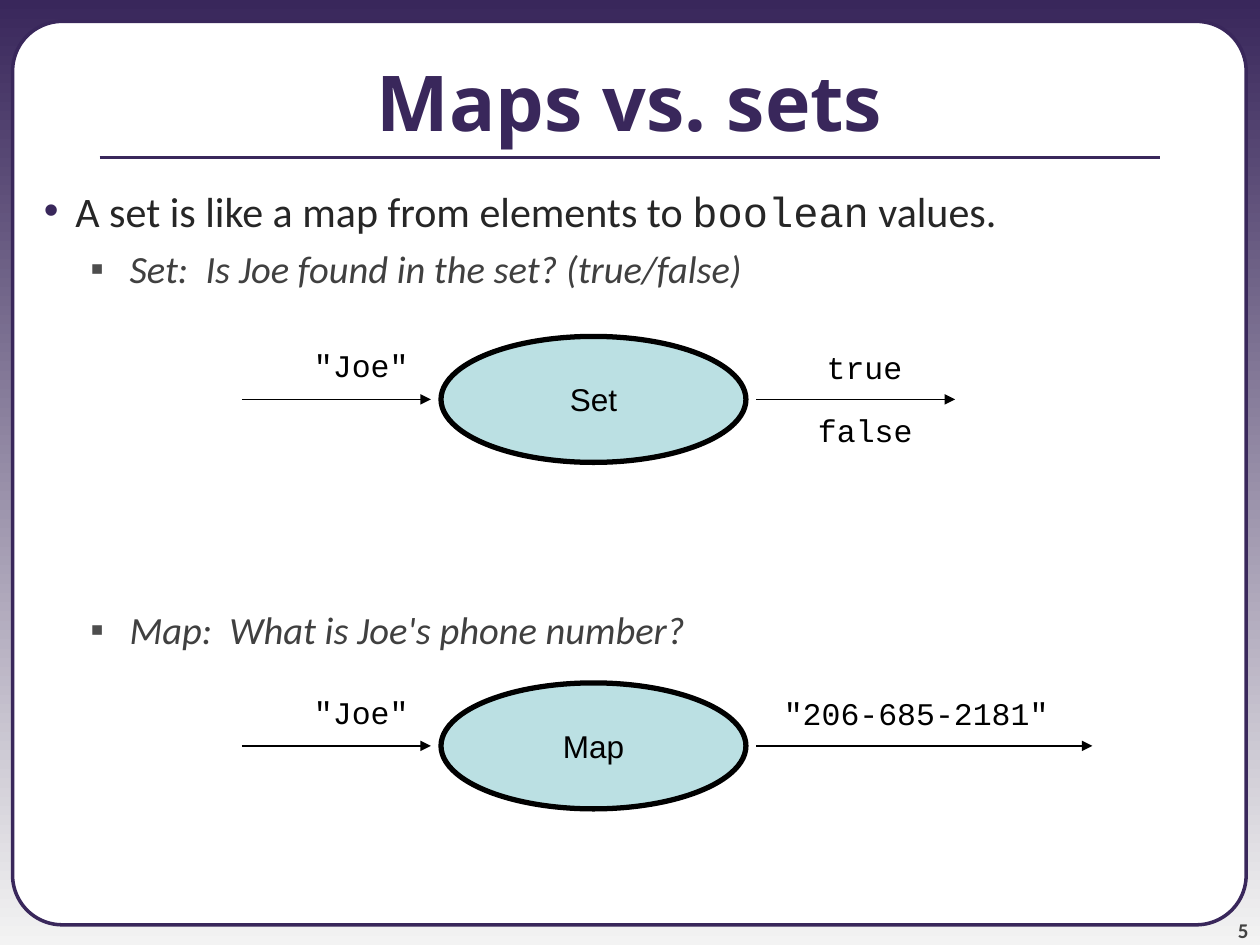
from lxml.etree import SubElement as Sub
from pptx import Presentation
from pptx.dml.color import RGBColor as Rgb
from pptx.enum.shapes import MSO_CONNECTOR as Conn, MSO_SHAPE as Kind
from pptx.enum.text import MSO_ANCHOR as Anchor, MSO_AUTO_SIZE as Auto, PP_ALIGN as Align
from pptx.oxml.ns import qn
from pptx.util import Inches, Pt

PURPLE, BLACK = "39275B", "000000"
HEAD = dict(name="Open Sans", size=Pt(44), bold=True)
PAGE = dict(name="Calibri", size=Pt(12), bold=True)
BODY = dict(name="Calibri", size=Pt(24))
CODE = dict(name="Courier New", size=Pt(24))
SUB = dict(name="Calibri", size=Pt(22), italic=True)
LABEL = dict(name="Courier New", size=Pt(18))
NODE = dict(name="Arial", size=Pt(18))


def paint(color, value):
    color.rgb = Rgb.from_string(value)


def assign(item, values):
    for key, value in values.items():
        setattr(item, key, value)


def write(para, text, font, color):
    run = para.add_run()
    run.text = text
    assign(run.font, font)
    paint(run.font.color, color)


def add_text(slide, box, text, font, color, align, **frame):
    area = slide.shapes.add_textbox(*map(Inches, box)).text_frame
    assign(area, dict(word_wrap=True) | frame)
    para = area.paragraphs[0]
    para.alignment = align
    write(para, text, font, color)


def add_shape(slide, kind, box, fill, line, width):
    shape = slide.shapes.add_shape(kind, *map(Inches, box))
    shape.shadow.inherit = False
    shape.fill.solid()
    paint(shape.fill.fore_color, fill)
    paint(shape.line.color, line)
    shape.line.width = Pt(width)
    return shape


def add_line(slide, left, right, y, color, width, arrow=False):
    ends = map(Inches, (left, y, right, y))
    line = slide.shapes.add_connector(Conn.STRAIGHT, *ends)
    paint(line.line.color, color)
    line.line.width = Pt(width)
    if arrow:
        Sub(line.line._get_or_add_ln(), qn("a:tailEnd"), type="triangle")
    Sub(line._element.spPr, qn("a:effectLst"))


def add_label(slide, left, top, width, text):
    add_text(slide, (left, top, width, 0.4), text, LABEL, BLACK, Align.RIGHT,
             word_wrap=False, auto_size=Auto.SHAPE_TO_FIT_TEXT)


def add_point(para, runs, mark, tint, left, hang, level, gap):
    props = para._p.get_or_add_pPr()
    props.set("marL", str(Inches(left)))
    props.set("indent", str(Inches(-hang)))
    Sub(Sub(props, qn("a:buClr")), qn("a:srgbClr"), val=tint)
    Sub(props, qn("a:buFont"), typeface="Arial")
    Sub(props, qn("a:buChar"), char=mark)
    assign(para, dict(level=level, space_before=Pt(gap)))
    for text, font, color in runs:
        write(para, text, font, color)


def add_body(slide):
    area = slide.shapes.add_textbox(*map(Inches, (0, 1.42, 10, 6.08))).text_frame
    area.word_wrap = True
    ink = "262626"
    runs = [("A set is like a map from elements to ", BODY, ink),
            ("boolean", CODE, ink), (" values.", BODY, ink)]
    add_point(area.paragraphs[0], runs, "•", PURPLE, 0.5, 0.25, 0, 0)
    for text, gap in (("Set:  Is Joe found in the set? (true/false)", 5.5),
                      ("Map:  What is Joe's phone number?", 180)):
        add_point(area.add_paragraph(), [(text, SUB, "404040")],
                  "▪", "4D4D4D", 0.93, 0.31, 1, gap)


def add_flow(slide, name, mid, end, results):
    oval = add_shape(slide, Kind.OVAL, (3.5, mid - 0.5, 2.42, 1), "BBE0E3", BLACK, 3)
    area = oval.text_frame
    assign(area, dict(word_wrap=False, vertical_anchor=Anchor.MIDDLE))
    area.paragraphs[0].alignment = Align.CENTER
    write(area.paragraphs[0], name, NODE, BLACK)
    add_line(slide, 1.92, 3.42, mid, BLACK, 0.75, True)
    add_label(slide, 2.39, mid - 0.47, 0.95, '"Joe"')
    add_line(slide, 6, end, mid, BLACK, 0.75, True)
    for left, shift, width, text in results:
        add_label(slide, left, mid + shift, width, text)


def add_frame(slide):
    fill = slide.background.fill
    fill.gradient()
    fill.gradient_angle = 270
    for stop, color in zip(fill.gradient_stops, (PURPLE, "F3F3F3")):
        paint(stop.color, color)
    card = add_shape(slide, Kind.ROUNDED_RECTANGLE, (0.1, 0.17, 9.79, 7.17),
                     "FFFFFF", PURPLE, 2)
    card.adjustments[0] = 0.055
    add_text(slide, (9.08, 7.08, 0.83, 0.4), "5", PAGE, "424242", Align.RIGHT,
             vertical_anchor=Anchor.BOTTOM, margin_left=0, margin_right=0,
             margin_top=0, margin_bottom=0)
    add_line(slide, 0.79, 9.21, 1.25, PURPLE, 2.25)


def main():
    deck = Presentation()
    assign(deck, dict(slide_width=Inches(10), slide_height=Inches(7.5)))
    slide = deck.slides.add_slide(deck.slide_layouts[6])
    add_frame(slide)
    add_text(slide, (0, 0.17, 10, 1.25), "Maps vs. sets", HEAD, PURPLE,
             Align.CENTER, vertical_anchor=Anchor.MIDDLE)
    add_body(slide)
    add_flow(slide, "Set", 3.17, 7.58,
             [(6.46, -0.46, 0.8, "true"), (6.39, 0.04, 0.95, "false")])
    add_flow(slide, "Map", 5.92, 8.67, [(6.12, -0.46, 2.3, '"206-685-2181"')])
    deck.save("out.pptx")


if __name__ == "__main__":
    main()
